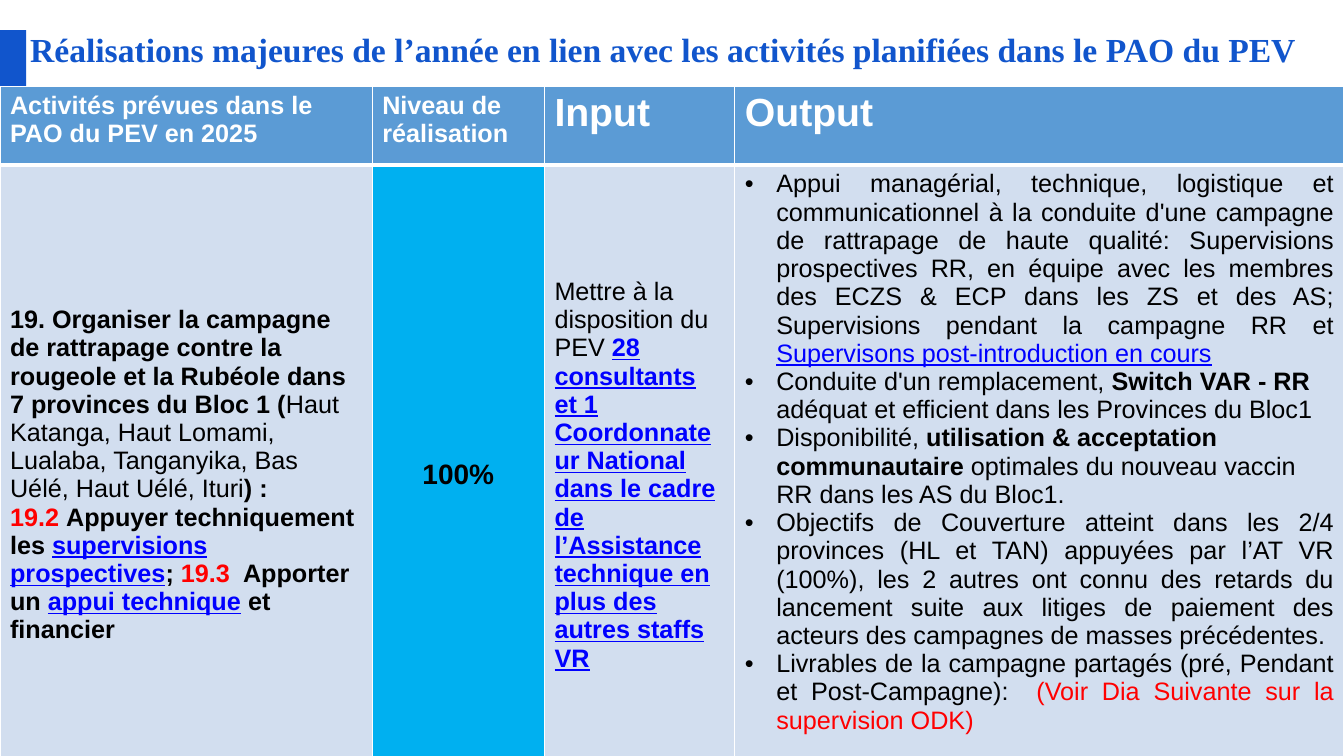
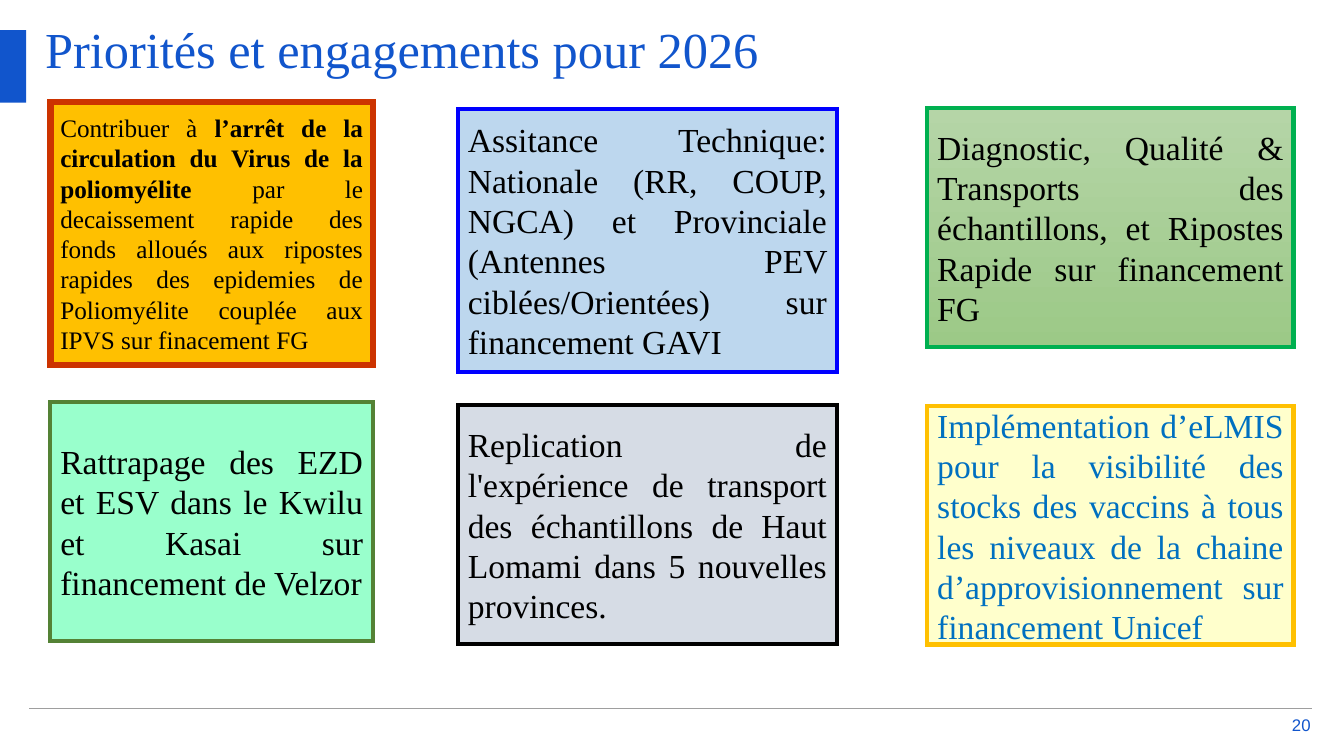
from lxml.etree import SubElement
from pptx import Presentation
from pptx.dml.color import RGBColor
from pptx.enum.shapes import MSO_CONNECTOR, MSO_SHAPE
from pptx.enum.text import MSO_ANCHOR, PP_ALIGN
from pptx.oxml.ns import qn
from pptx.util import Cm, Pt

SANS, SERIF = "Arial", "Times New Roman"
COLORS = {
    "blue": "1155CC", "rule": "9E9E9E", "white": "FFFFFF", "black": "000000",
    "red": "FF0000", "link": "0000FF", "header": "5B9BD5", "body": "D2DEEF",
    "done": "00B0F0", "amber": "FFC000", "rust": "CC3300", "sky": "BDD7EE",
    "leaf_top": "B5D5A7", "leaf_bottom": "9CC987", "green": "00B050",
    "mint": "99FFCC", "moss": "548235", "grey": "D6DCE5",
    "cream": "FFFFCC", "azure": "0070C0",
}
LEFT, CENTER, RIGHT, JUSTIFY = (PP_ALIGN.LEFT, PP_ALIGN.CENTER,
                                PP_ALIGN.RIGHT, PP_ALIGN.JUSTIFY)

HEADERS = [("Activités prévues dans le PAO du PEV en 2025", 18),
           ("Niveau de réalisation", 18), ("Input", 28), ("Output", 28)]
# A paragraph is (alignment, runs); a run is (text, marks), marks being
# words among "bold", "red" and "link".
ACTIVITY = [
    (LEFT, [("19. Organiser la campagne de rattrapage contre la rougeole et la "
             "Rubéole dans 7 provinces du Bloc 1 (", "bold"),
            ("Haut Katanga, Haut Lomami, Lualaba, Tanganyika, Bas Uélé, "
             "Haut Uélé, Ituri", ""),
            (") :", "bold")]),
    (LEFT, [("19.2 ", "bold red"), ("Appuyer techniquement les ", "bold"),
            ("supervisions prospectives", "bold link"), ("; ", "bold"),
            ("19.3", "bold red"), ("  Apporter un ", "bold"),
            ("appui technique", "bold link"), (" et financier", "bold")]),
]
LEVEL = [(CENTER, [("100%", "bold")])]
INPUT = [
    (LEFT, [("Mettre à la disposition du PEV ", ""),
            ("28 consultants et 1 Coordonnateur National dans le cadre de "
             "l’Assistance technique en plus des autres staffs VR", "bold link")]),
]
OUTPUT = [
    (JUSTIFY, [("Appui managérial, technique, logistique et communicationnel à la "
                "conduite d'une campagne de rattrapage de haute qualité: "
                "Supervisions prospectives RR, en équipe avec les membres des "
                "ECZS & ECP dans les ZS et des AS; Supervisions pendant la "
                "campagne RR et ", ""),
               ("Supervisons post-introduction en cours", "link")]),
    (LEFT, [("Conduite d'un remplacement, ", ""), ("Switch VAR - RR ", "bold"),
            ("adéquat et efficient dans les Provinces du Bloc1", "")]),
    (LEFT, [("Disponibilité, ", ""),
            ("utilisation & acceptation  communautaire ", "bold"),
            ("optimales du nouveau vaccin RR dans les AS du Bloc1.", "")]),
    (JUSTIFY, [("Objectifs de Couverture atteint dans les 2/4 provinces (HL et "
                "TAN) appuyées par l’AT VR (100%), les 2 autres ont connu des "
                "retards du lancement suite aux litiges de paiement des acteurs "
                "des campagnes de masses précédentes.", "")]),
    (JUSTIFY, [("Livrables de la campagne partagés (pré, Pendant et "
                "Post-Campagne):  ", ""),
               ("(Voir Dia Suivante sur la supervision ODK)", "red")]),
]
# paragraphs, fill, size, anchor, bulleted
BODY = [(ACTIVITY, "body", 18, MSO_ANCHOR.MIDDLE, False),
        (LEVEL, "done", 20, MSO_ANCHOR.MIDDLE, False),
        (INPUT, "body", 18, MSO_ANCHOR.MIDDLE, False),
        (OUTPUT, "body", 18, MSO_ANCHOR.TOP, True)]

CARD_COLUMNS = [(1.27, 8.13), (11.54, 9.55), (23.37, 9.23)]  # left, width
# column, top, height, fill (two colours make a gradient), line, line width,
# text colour, size, runs
CARDS = [
    (0, 2.57, 6.63, ["amber"], "rust", 4.5, "black", 18,
     [("Contribuer à ", ""),
      ("l’arrêt de la circulation du Virus de la poliomyélite ", "bold"),
      ("par le decaissement rapide des fonds alloués aux ripostes rapides des "
       "epidemies de Poliomyélite couplée aux IPVS sur finacement FG", "")]),
    (1, 2.74, 6.63, ["sky"], "link", 3, "black", 24,
     [("Assitance Technique: Nationale (RR, COUP, NGCA) et Provinciale (Antennes "
       "PEV ciblées/Orientées)  sur financement GAVI", "")]),
    (2, 2.72, 6.02, ["leaf_top", "leaf_bottom"], "green", 3, "black", 24,
     [("Diagnostic, Qualité & Transports des échantillons, et Ripostes Rapide "
       "sur financement FG", "")]),
    (0, 10.13, 6.02, ["mint"], "moss", 3, "black", 24,
     [("Rattrapage des EZD et ESV dans le Kwilu et Kasai sur financement de "
       "Velzor", "")]),
    (1, 10.21, 6.02, ["grey"], "black", 3, "black", 24,
     [("Replication de l'expérience de transport des échantillons de Haut Lomami "
       "dans 5 nouvelles provinces.", "")]),
    (2, 10.24, 6, ["cream"], "amber", 3, "azure", 24,
     [("Implémentation d’eLMIS pour la visibilité des stocks des vaccins à tous "
       "les niveaux de la chaine d’approvisionnement sur financement Unicef", "")]),
]


def rgb(name):
    return RGBColor.from_string(COLORS[name])


def cm(*lengths):
    return [Cm(n) for n in lengths]


def paint(fill, name):
    fill.solid()
    fill.fore_color.rgb = rgb(name)


def add_bullet(p):
    pPr = p._p.get_or_add_pPr()
    pPr.set("marL", str(Cm(0.79)))
    pPr.set("indent", str(-Cm(0.79)))
    SubElement(pPr, qn("a:buFont")).set("typeface", SANS)
    SubElement(pPr, qn("a:buChar")).set("char", "•")


def write(tf, paragraphs, size, font, color="black", bulleted=False):
    """Fill a text frame with (alignment, runs) paragraphs."""
    tf.word_wrap = True
    for i, (align, runs) in enumerate(paragraphs):
        p = tf.add_paragraph() if i else tf.paragraphs[0]
        if bulleted:
            add_bullet(p)
        p.alignment = align
        for text, marks in runs:
            r = p.add_run()
            r.text = text
            marks = marks.split()
            r.font.name, r.font.size = font, Pt(size)
            r.font.bold = "bold" in marks
            r.font.underline = "link" in marks
            shade = next((m for m in marks if m in COLORS), color)
            r.font.color.rgb = rgb(shade)


def add_label(slide, box, text, size, font, align=LEFT, marks="",
              anchor=MSO_ANCHOR.TOP):
    """Add a blue text box without insets."""
    tf = slide.shapes.add_textbox(*cm(*box)).text_frame
    tf.margin_left = tf.margin_top = tf.margin_right = tf.margin_bottom = 0
    tf.vertical_anchor = anchor
    write(tf, [(align, [(text, marks)])], size, font, "blue")


def add_frame(prs, title, box, size, marks=""):
    """Start a slide with its title, side band and footer rule."""
    slide = prs.slides.add_slide(prs.slide_layouts[6])
    add_label(slide, box, title, size, SERIF, marks=marks)
    band = slide.shapes.add_shape(MSO_SHAPE.RECTANGLE, *cm(0, 0.76, 0.66, 1.83))
    band.shadow.inherit = False
    paint(band.fill, "blue")
    band.line.fill.background()
    rule = slide.shapes.add_connector(MSO_CONNECTOR.STRAIGHT,
                                      *cm(0.74, 17.86, 33.07, 17.86))
    rule.line.color.rgb = rgb("rule")
    rule.line.width = Pt(1)
    SubElement(rule._element.spPr, qn("a:effectLst"))
    return slide


def set_borders(cell, **widths):
    """Draw white borders; keys are L, R, T, B and values are points."""
    tcPr = cell._tc.get_or_add_tcPr()
    for i, (side, width) in enumerate(widths.items()):
        ln = tcPr.makeelement(qn("a:ln" + side), {"w": str(Pt(width))})
        SubElement(SubElement(ln, qn("a:solidFill")),
                   qn("a:srgbClr")).set("val", COLORS["white"])
        tcPr.insert(i, ln)


def add_activity_table(slide, left, top, widths, heights):
    table = slide.shapes.add_table(
        2, 4, *cm(left, top, sum(widths), sum(heights))).table
    for column, width in zip(table.columns, widths):
        column.width = Cm(width)
    for row, height in zip(table.rows, heights):
        row.height = Cm(height)
    for i, (text, size) in enumerate(HEADERS):
        cell = table.cell(0, i)
        paint(cell.fill, "header")
        set_borders(cell, L=1, R=1, T=1, B=3)
        write(cell.text_frame, [(LEFT, [(text, "bold")])], size, SANS, "white")
    for i, (paragraphs, fill, size, anchor, bulleted) in enumerate(BODY):
        cell = table.cell(1, i)
        paint(cell.fill, fill)
        set_borders(cell, L=1, R=1, T=3, B=1)
        cell.vertical_anchor = anchor
        write(cell.text_frame, paragraphs, size, SANS, bulleted=bulleted)


def add_card(slide, box, fills, line, width, color, size, runs):
    sp = slide.shapes.add_shape(MSO_SHAPE.RECTANGLE, *cm(*box))
    sp.shadow.inherit = False
    if len(fills) == 1:
        paint(sp.fill, fills[0])
    else:
        sp.fill.gradient()
        sp.fill.gradient_angle = 270
        for stop, name in zip(sp.fill.gradient_stops, fills):
            stop.color.rgb = rgb(name)
    sp.line.color.rgb = rgb(line)
    sp.line.width = Pt(width)
    SubElement(sp._element.spPr.find(qn("a:ln")), qn("a:miter")).set("lim", "800000")
    sp.text_frame.vertical_anchor = MSO_ANCHOR.MIDDLE
    write(sp.text_frame, [(JUSTIFY, runs)], size, SERIF, color)


def build_achievements(prs):
    slide = add_frame(prs, "Réalisations majeures de l’année en lien avec les "
                      "activités planifiées dans le PAO du PEV",
                      (0.76, 0.74, 32.69, 1.45), 24, "bold")
    add_activity_table(slide, 0, 2.18, [9.38, 4.34, 4.8, 15.35], [1.98, 15.62])


def build_priorities(prs):
    slide = add_frame(prs, "Priorités et engagements pour 2026",
                      (1.14, 0.46, 31.32, 1.83), 36)
    add_label(slide, (32.39, 18.03, 0.64, 0.46), "20", 12, SANS, RIGHT,
              anchor=MSO_ANCHOR.MIDDLE)
    for column, top, height, *look in CARDS:
        left, width = CARD_COLUMNS[column]
        add_card(slide, (left, top, width, height), *look)


def main():
    prs = Presentation()
    prs.slide_width, prs.slide_height = cm(33.87, 19.05)
    build_achievements(prs)
    build_priorities(prs)
    prs.save("out.pptx")


if __name__ == "__main__":
    main()
